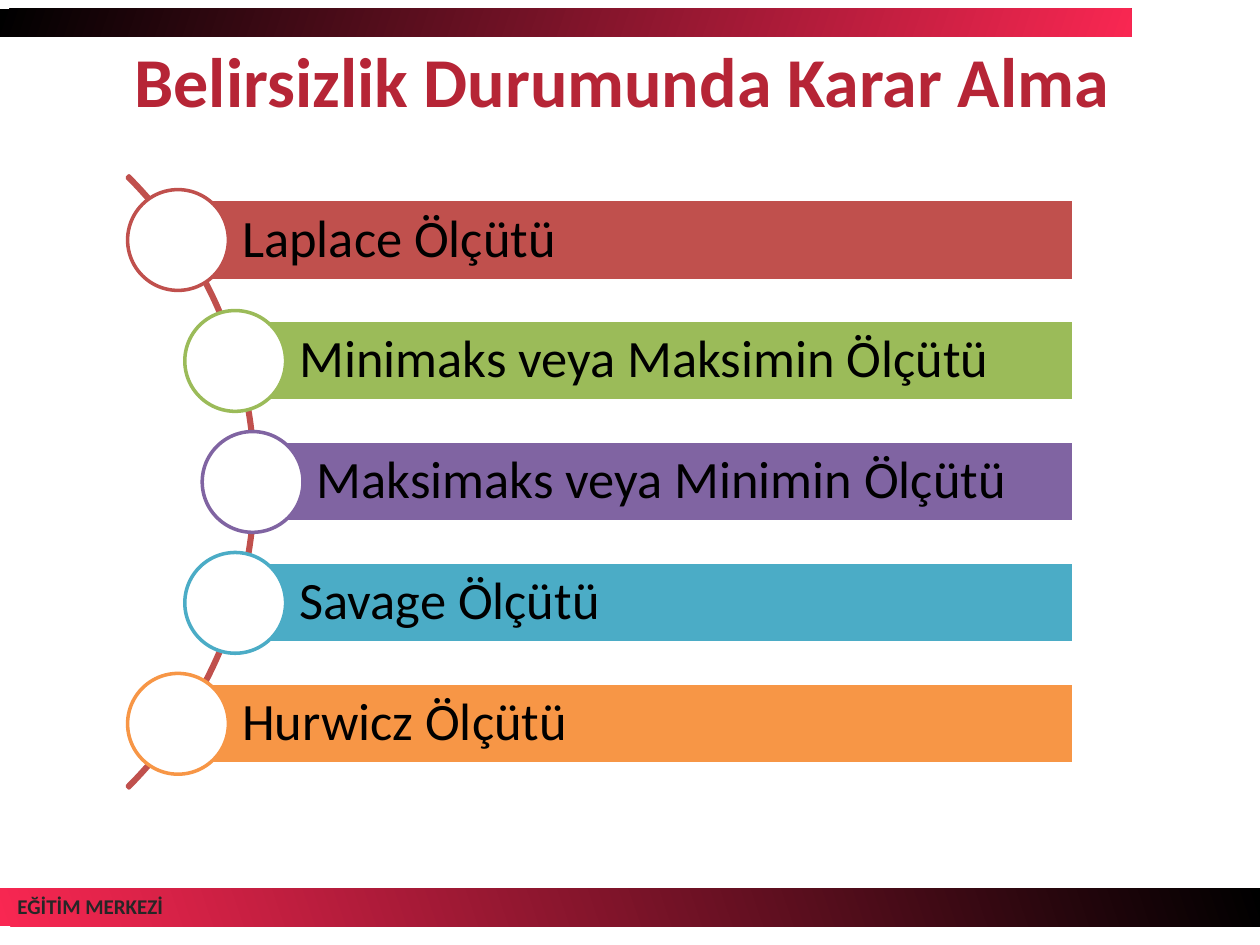
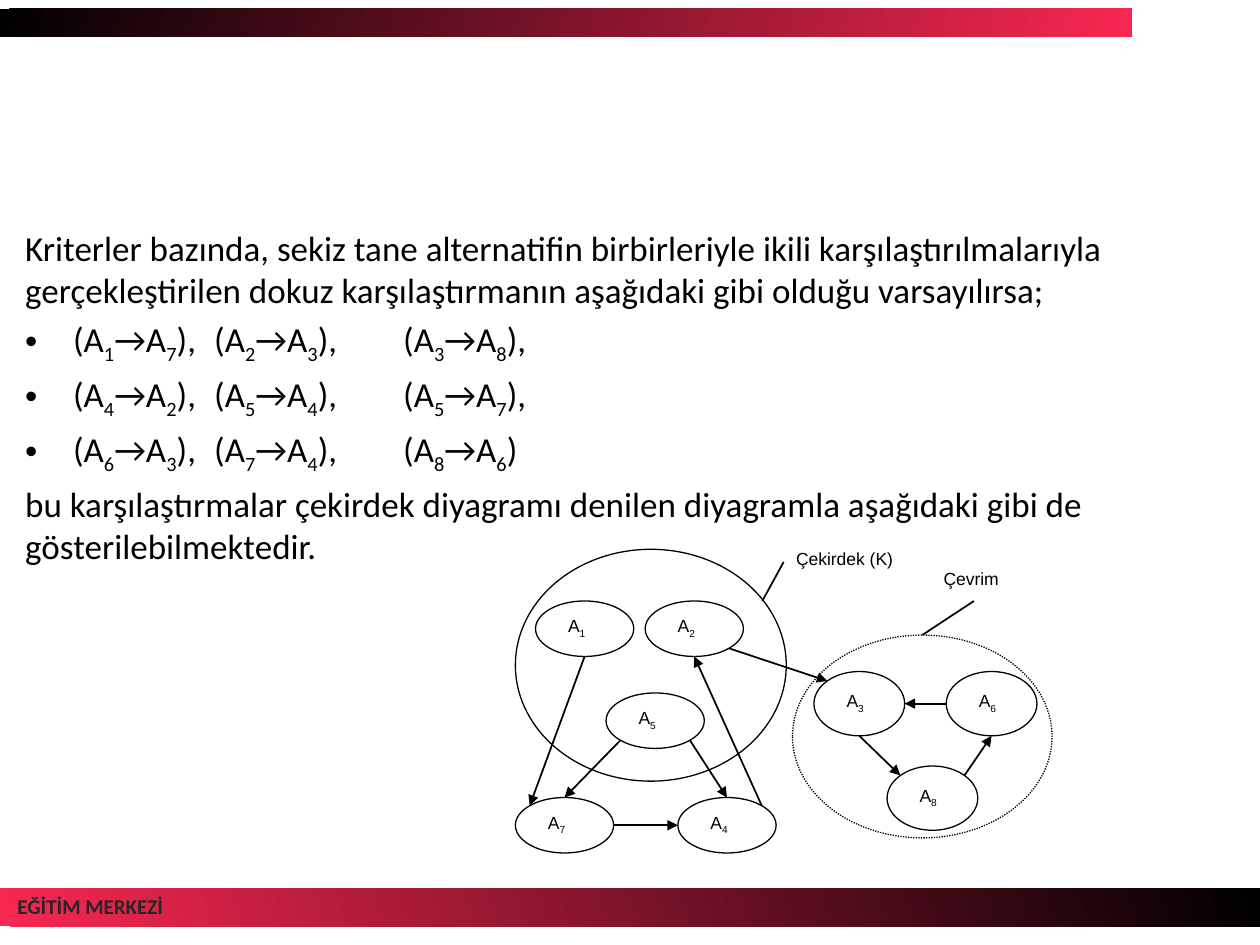
"""Build two slides on decision making under uncertainty and the kernel diagram."""
from dataclasses import dataclass
from itertools import groupby
from math import sqrt

from lxml import etree
from pptx import Presentation
from pptx.dml.color import RGBColor
from pptx.enum import dml, shapes, text
from pptx.oxml import ns
from pptx.util import Inches, Pt

BLACK = RGBColor(0x00, 0x00, 0x00)
WHITE = RGBColor(0xFF, 0xFF, 0xFF)
CRIMSON = RGBColor(0xF9, 0x27, 0x52)
TITLE_RED = RGBColor(0xB6, 0x25, 0x36)
FOOTER_GRAY = RGBColor(0x26, 0x26, 0x26)
BRICK = RGBColor(0xC0, 0x50, 0x4D)
GREEN = RGBColor(0x9B, 0xBB, 0x59)
PURPLE = RGBColor(0x80, 0x64, 0xA2)
TEAL = RGBColor(0x4B, 0xAC, 0xC6)
ORANGE = RGBColor(0xF7, 0x96, 0x46)
BODY_FONT, LABEL_FONT = "Calibri", "Arial"
OVAL, RECT = shapes.MSO_SHAPE.OVAL, shapes.MSO_SHAPE.RECTANGLE


@dataclass(frozen=True)
class Box:
    left: float
    top: float
    width: float
    height: float

    def lengths(self):
        return [Inches(n) for n in (self.left, self.top, self.width, self.height)]

    def site(self, direction: str) -> tuple[float, float]:
        """Return the point of the inscribed ellipse in a compass direction."""
        dx = ("E" in direction) - ("W" in direction)
        dy = ("S" in direction) - ("N" in direction)
        reach = 2 * sqrt(dx * dx + dy * dy)
        return (self.left + self.width * (0.5 + dx / reach),
                self.top + self.height * (0.5 + dy / reach))


@dataclass(frozen=True)
class Band:
    box: Box
    start: RGBColor
    end: RGBColor
    angle: int


@dataclass(frozen=True)
class Criterion:
    name: str
    color: RGBColor


@dataclass(frozen=True)
class Relation:
    source: str
    leave: str
    target: str
    arrive: str


@dataclass(frozen=True)
class Callout:
    caption: str
    box: Box
    start: tuple[float, float]
    end: tuple[float, float]


BANDS = (Band(Box(0, 7.05, 10, 0.3), CRIMSON, BLACK, 19),
         Band(Box(0, 0.07, 8.98, 0.22), BLACK, CRIMSON, 341))
FOOTER = "EĞİTİM MERKEZİ"

CRITERIA = (Criterion("Laplace Ölçütü", BRICK),
            Criterion("Minimaks veya Maksimin Ölçütü", GREEN),
            Criterion("Maksimaks veya Minimin Ölçütü", PURPLE),
            Criterion("Savage Ölçütü", TEAL),
            Criterion("Hurwicz Ölçütü", ORANGE))
ARC = Box(-4.84, 0.39, 6.87, 6.87)
ARC_RADIUS, ROW_PITCH, BAR_RIGHT, BAR_HEIGHT, DOT = 3.41, 0.96, 8.52, 0.64, 0.8

INTRO = ("Kriterler bazında, sekiz tane alternatifin birbirleriyle ikili "
         "karşılaştırılmalarıyla gerçekleştirilen dokuz karşılaştırmanın "
         "aşağıdaki gibi olduğu varsayılırsa;")
COMPARISONS = ("(A1→A7), \t(A2→A3), \t(A3→A8),",
               "(A4→A2), \t(A5→A4), \t(A5→A7),",
               "(A6→A3), \t(A7→A4), \t(A8→A6)")
CLOSING = ("bu karşılaştırmalar çekirdek diyagramı denilen diyagramla "
           "aşağıdaki gibi de gösterilebilmektedir.")
TAB_STOPS = (1.5, 3.0)

KERNEL = Box(4.09, 4.36, 2.15, 1.84)
CYCLE = Box(6.29, 5.04, 2.06, 1.61)
SMALL, LARGE = (0.78, 0.44), (0.72, 0.51)
ALTERNATIVES = {"A1": Box(4.25, 4.77, *SMALL), "A2": Box(5.12, 4.77, *SMALL),
                "A5": Box(4.81, 5.5, *SMALL), "A7": Box(4.09, 6.33, *SMALL),
                "A4": Box(5.38, 6.33, *SMALL), "A3": Box(6.46, 5.33, *LARGE),
                "A6": Box(7.51, 5.33, *LARGE), "A8": Box(7.04, 6.08, *LARGE)}
RELATIONS = (Relation("A1", "S", "A7", "NW"), Relation("A5", "SW", "A7", "N"),
             Relation("A5", "SE", "A4", "N"), Relation("A7", "E", "A4", "W"),
             Relation("A2", "SE", "A3", "NW"), Relation("A4", "NE", "A2", "S"),
             Relation("A3", "S", "A8", "NW"), Relation("A8", "NE", "A6", "S"),
             Relation("A6", "W", "A3", "E"))
CALLOUTS = (Callout("Çekirdek (K)", Box(6.22, 4.3, 1.03, 0.31), (6.05, 4.77), (6.22, 4.46)),
            Callout("Çevrim", Box(7.39, 4.46, 0.68, 0.31), (7.32, 5.04), (7.73, 4.77)))


def add_xml(parent, tag: str, **attributes: str):
    """Append a DrawingML element."""
    return etree.SubElement(parent, ns.qn(tag), attributes)


def format_font(font, size: float, color: RGBColor, face: str = BODY_FONT, bold: bool = False) -> None:
    """Set the look of a font."""
    font.size, font.name, font.bold = Pt(size), face, bold
    font.color.rgb = color


def write_subscripted(paragraph, wording: str, size: float, face: str) -> None:
    """Write wording with its digits as subscripts."""
    for is_digit, letters in groupby(wording, str.isdigit):
        run = paragraph.add_run()
        run.text = "".join(letters)
        format_font(run.font, size, BLACK, face)
        if is_digit:
            run._r.get_or_add_rPr().set("baseline", "-25000")


def add_outline(slide, kind, box: Box, line: RGBColor | None, weight: float = 0.75,
                fill: RGBColor | None = None):
    """Add a preset shape with optional line and fill."""
    shape = slide.shapes.add_shape(kind, *box.lengths())
    shape.shadow.inherit = False
    if fill is None:
        shape.fill.background()
    else:
        shape.fill.solid()
        shape.fill.fore_color.rgb = fill
    if line is None:
        shape.line.fill.background()
    else:
        shape.line.color.rgb = line
        shape.line.width = Pt(weight)
    return shape


def add_line(slide, start: tuple[float, float], end: tuple[float, float], arrow: bool) -> None:
    """Add a straight black line, with an arrowhead if asked."""
    points = [Inches(n) for n in (*start, *end)]
    line = slide.shapes.add_connector(shapes.MSO_CONNECTOR.STRAIGHT, *points)
    line.line.color.rgb = BLACK
    line.line.width = Pt(1)
    if arrow:
        add_xml(line.line._get_or_add_ln(), "a:tailEnd", type="triangle")
    add_xml(line._element.spPr, "a:effectLst")


def add_label(slide, wording: str, box: Box) -> None:
    """Add a small white diagram label."""
    label = add_outline(slide, RECT, box, None, fill=WHITE)
    frame = label.text_frame
    frame.vertical_anchor = text.MSO_ANCHOR.TOP
    frame.paragraphs[0].alignment = text.PP_ALIGN.JUSTIFY
    write_subscripted(frame.paragraphs[0], wording, 10, LABEL_FONT)


def add_frame(slide) -> None:
    """Add the gradient bands and footer shared by the slides."""
    for band in BANDS:
        strip = add_outline(slide, RECT, band.box, None)
        strip.fill.gradient()
        strip.fill.gradient_angle = band.angle
        for stop, color in zip(strip.fill.gradient_stops, (band.start, band.end)):
            stop.color.rgb = color
    footer = slide.shapes.add_textbox(*Box(0.04, 7.04, 1.55, 0.3).lengths()).text_frame
    footer.word_wrap = False
    footer.text = FOOTER
    format_font(footer.paragraphs[0].runs[0].font, 12, FOOTER_GRAY, bold=True)


def place(placeholder, box: Box) -> None:
    """Move a placeholder."""
    placeholder.left, placeholder.top, placeholder.width, placeholder.height = box.lengths()
    placeholder.text_frame.auto_size = text.MSO_AUTO_SIZE.NONE


def build_criteria(deck) -> None:
    """Build the slide listing the decision criteria along an arc."""
    slide = deck.slides.add_slide(deck.slide_layouts[5])
    add_frame(slide)
    title = slide.shapes.title
    place(title, Box(0.04, 0.39, 9.79, 0.48))
    title.text_frame.text = "Belirsizlik Durumunda Karar Alma"
    title.text_frame.vertical_anchor = text.MSO_ANCHOR.MIDDLE
    title.text_frame.paragraphs[0].alignment = text.PP_ALIGN.CENTER
    format_font(title.text_frame.paragraphs[0].runs[0].font, 40, TITLE_RED, bold=True)

    arc = add_outline(slide, shapes.MSO_SHAPE.BLOCK_ARC, ARC, BRICK, 2)
    for index, value in enumerate((189, 27, 0.003)):
        arc.adjustments[index] = value
    center_x, center_y = ARC.left + ARC.width / 2, ARC.top + ARC.height / 2
    for row, criterion in enumerate(CRITERIA):
        drop = (row - len(CRITERIA) // 2) * ROW_PITCH
        x, y = center_x + sqrt(ARC_RADIUS ** 2 - drop ** 2), center_y + drop
        bar = add_outline(slide, RECT, Box(x, y - BAR_HEIGHT / 2, BAR_RIGHT - x, BAR_HEIGHT),
                          WHITE, 2, criterion.color)
        frame = bar.text_frame
        frame.text = criterion.name
        frame.margin_left = Inches(0.51)
        frame.margin_top = frame.margin_right = frame.margin_bottom = Inches(0.08)
        frame.vertical_anchor = text.MSO_ANCHOR.MIDDLE
        paragraph = frame.paragraphs[0]
        paragraph.alignment = text.PP_ALIGN.LEFT
        paragraph.line_spacing = 0.9
        format_font(paragraph.runs[0].font, 30, BLACK)
        add_outline(slide, OVAL, Box(x - DOT / 2, y - DOT / 2, DOT, DOT),
                    criterion.color, 2, WHITE)


def write_comparisons(body) -> None:
    """Write the explanation with its bulleted comparisons."""
    frame = body.text_frame
    for index, wording in enumerate((INTRO, *COMPARISONS, CLOSING)):
        paragraph = frame.add_paragraph() if index else frame.paragraphs[0]
        paragraph.space_before = Pt(4 if index else 0)
        properties = paragraph._p.get_or_add_pPr()
        bulleted = wording in COMPARISONS
        indent = Inches(0.38) if bulleted else 0
        properties.set("marL", str(indent))
        properties.set("indent", str(-indent))
        if bulleted:
            add_xml(properties, "a:buChar", char="•")
            tabs = add_xml(properties, "a:tabLst")
            for stop in TAB_STOPS:
                add_xml(tabs, "a:tab", pos=str(Inches(stop)), algn="l")
        else:
            add_xml(properties, "a:buNone")
        write_subscripted(paragraph, wording, 20, BODY_FONT)


def build_kernel(deck) -> None:
    """Build the slide with the comparisons and their kernel diagram."""
    slide = deck.slides.add_slide(deck.slide_layouts[1])
    heading = slide.shapes.title._element
    heading.getparent().remove(heading)
    add_frame(slide)
    body = slide.placeholders[1]
    place(body, Box(0.1, 1.75, 9.79, 4.95))
    write_comparisons(body)

    cycle = add_outline(slide, OVAL, CYCLE, BLACK)
    cycle.line.dash_style = dml.MSO_LINE.ROUND_DOT
    add_outline(slide, OVAL, KERNEL, BLACK, fill=WHITE)
    for name, box in ALTERNATIVES.items():
        add_outline(slide, OVAL, box, BLACK)
        inset = (box.height - 0.31) / 2
        add_label(slide, name, Box(box.left + 0.16, box.top + inset, 0.42, 0.31))
    for callout in CALLOUTS:
        add_label(slide, callout.caption, callout.box)
        add_line(slide, callout.start, callout.end, arrow=False)
    for relation in RELATIONS:
        add_line(slide, ALTERNATIVES[relation.source].site(relation.leave),
                 ALTERNATIVES[relation.target].site(relation.arrive), arrow=True)


def main() -> None:
    """Build and save the presentation."""
    deck = Presentation()
    deck.slide_width, deck.slide_height = Inches(10), Inches(7.5)
    build_criteria(deck)
    build_kernel(deck)
    deck.save("out.pptx")


if __name__ == "__main__":
    main()
